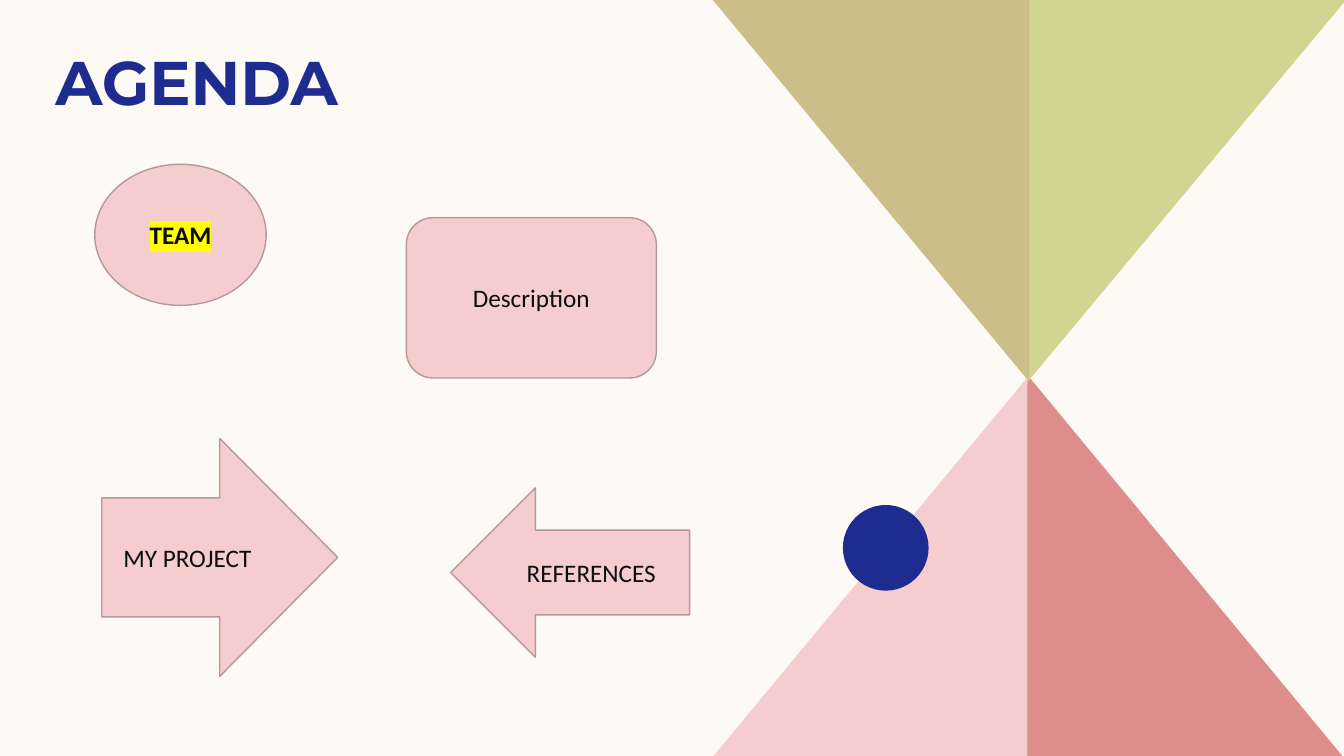
import pptx
import pptx.dml.color
import pptx.enum.shapes
import pptx.enum.text
import pptx.oxml
import pptx.oxml.ns
import pptx.util

SHAPE = pptx.enum.shapes.MSO_SHAPE
ALIGN = pptx.enum.text.PP_ALIGN
ANCHOR = pptx.enum.text.MSO_ANCHOR

# Content: lengths in inches
WIDTH, HEIGHT = 13.33, 7.5
CREAM, PINK, NAVY, INK, EDGE = "FDFAF6", "F5CDCE", "1F2C8F", "0D0D0D", "B59898"
TITLE = ("AGENDA", (0.45, 0.38, 6.23, 0.84))

# Each triangle: inner edge x, outer corner x, apex y, base y, colour
TRIANGLES = [
    (10.21, 7.06, 3.72, 7.52, PINK),
    (10.19, 13.33, 3.72, 7.52, "DE8C8C"),
    (10.19, 13.35, 3.79, 0, "D2D592"),
    (10.21, 7.07, 3.79, 0, "CCBE89"),
]
DOT = (8.36, 5.01, 0.85, 0.85)

# Each topic: label, preset, box, highlighted
TOPICS = [
    ("TEAM", SHAPE.OVAL, (0.94, 1.63, 1.7, 1.4), True),
    ("Description", SHAPE.ROUNDED_RECTANGLE, (4.03, 2.16, 2.48, 1.59), False),
    ("REFERENCES", SHAPE.LEFT_ARROW, (4.47, 4.84, 2.37, 1.68), False),
    ("MY PROJECT ", SHAPE.RIGHT_ARROW, (1.01, 4.35, 2.34, 2.36), False),
]


def color(value):
    return pptx.dml.color.RGBColor.from_string(value)


def inches(box):
    return [pptx.util.Inches(length) for length in box]


def paint(shape, fill, edge=None):
    shape.shadow.inherit = False
    shape.fill.solid()
    shape.fill.fore_color.rgb = color(fill)
    if edge:
        shape.line.color.rgb = color(edge)
        shape.line.width = pptx.util.Pt(1)
    else:
        shape.line.fill.background()


def write(shape, label, size, font, ink, bold, align):
    frame = shape.text_frame
    frame.text = label
    frame.word_wrap = True
    frame.vertical_anchor = ANCHOR.MIDDLE
    frame.paragraphs[0].alignment = align
    run = frame.paragraphs[0].runs[0]
    run.font.size = pptx.util.Pt(size)
    run.font.bold = bold
    run.font.color.rgb = color(ink)
    run.font.name = font
    return run


def highlight(run, value):
    mark = pptx.oxml.parse_xml(
        f'<a:highlight {pptx.oxml.ns.nsdecls("a")}><a:srgbClr val="{value}"/></a:highlight>')
    fill = run.font._element.find(pptx.oxml.ns.qn("a:solidFill"))
    fill.addnext(mark)


presentation = pptx.Presentation()
presentation.slide_width, presentation.slide_height = inches((WIDTH, HEIGHT))
slide = presentation.slides.add_slide(presentation.slide_layouts[6])
slide.background.fill.solid()
slide.background.fill.fore_color.rgb = color(CREAM)
shapes = slide.shapes

# Hourglass of four triangles
for inner, outer, apex, base, fill in TRIANGLES:
    outline = shapes.build_freeform(*inches((inner, apex)), scale=1.0)
    outline.add_line_segments([inches((outer, base)), inches((inner, base))], close=True)
    paint(outline.convert_to_shape(), fill)

# Dot
paint(shapes.add_shape(SHAPE.OVAL, *inches(DOT)), NAVY)

# Title
heading, heading_box = TITLE
write(shapes.add_textbox(*inches(heading_box)), heading, 44, "Montserrat", NAVY, True, ALIGN.LEFT)

# Topics
for label, preset, box, marked in TOPICS:
    topic = shapes.add_shape(preset, *inches(box))
    paint(topic, PINK, EDGE)
    topic_run = write(topic, label, 18, "Calibri", INK, marked, ALIGN.CENTER)
    if marked:
        highlight(topic_run, "FFFF00")

presentation.save("out.pptx")
